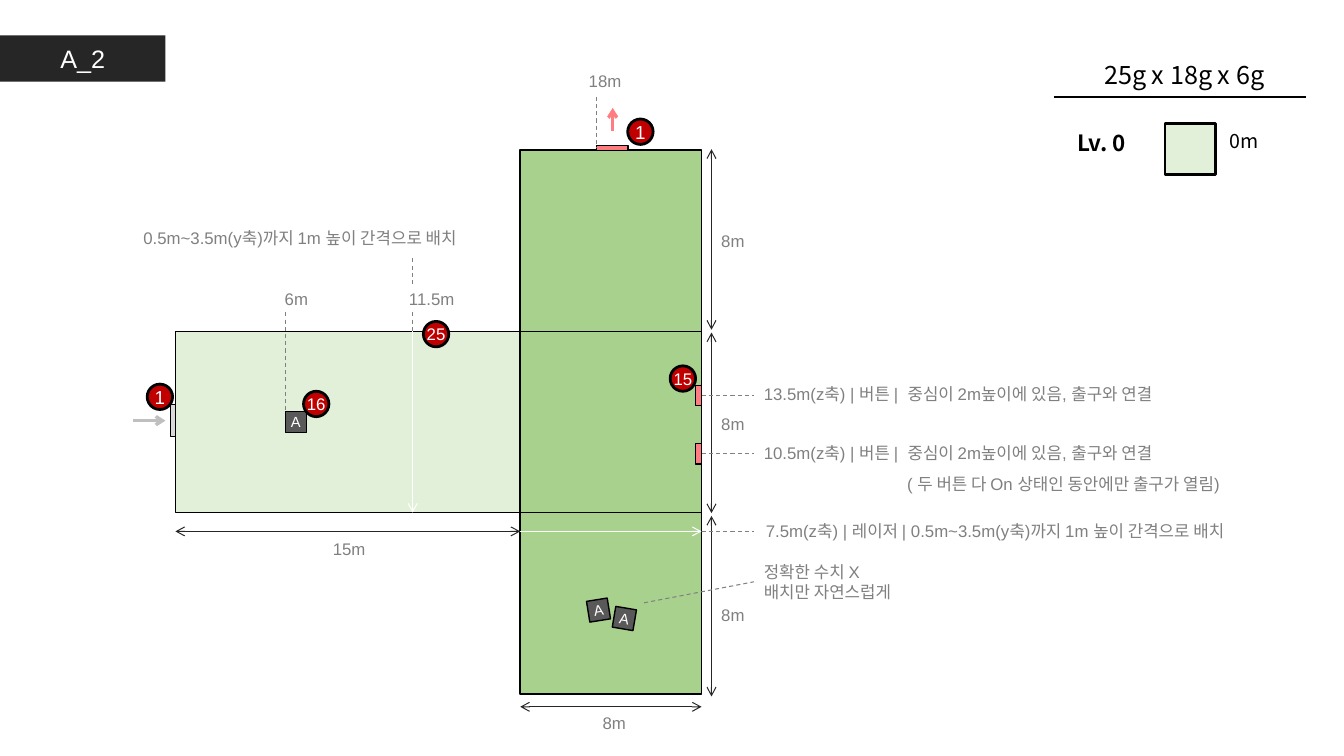
from dataclasses import dataclass

from lxml import etree
from pptx import Presentation
from pptx.dml.color import RGBColor
from pptx.enum.dml import MSO_LINE
from pptx.enum.shapes import MSO_CONNECTOR, MSO_SHAPE
from pptx.enum.text import MSO_ANCHOR, PP_ALIGN
from pptx.oxml.ns import qn
from pptx.util import Cm, Pt

RECT, OVAL = MSO_SHAPE.RECTANGLE, MSO_SHAPE.OVAL
STRAIGHT, DASH = MSO_CONNECTOR.STRAIGHT, MSO_LINE.DASH
LEFT, CENTER, RIGHT = PP_ALIGN.LEFT, PP_ALIGN.CENTER, PP_ALIGN.RIGHT
MIDDLE = MSO_ANCHOR.MIDDLE


@dataclass(frozen=True)
class Theme:
    """Colours, fonts and type sizes of the slide."""
    black: str = "000000"
    white: str = "FFFFFF"
    dark: str = "262626"
    grey: str = "808080"
    box: str = "595959"
    arrow: str = "BFBFBF"
    entrance: str = "D9D9D9"
    corridor: str = "E2F0D9"
    hall: str = "A9D18E"
    exit: str = "FF7C80"
    badge: str = "C00000"
    font: str = "Arial"
    korean: str = "Noto Sans CJK KR"
    title: float = 18
    level: float = 16
    height: float = 14
    door: float = 13.4
    note: float = 12
    mark: float = 10.5


T = Theme()
ROOM = 4.57                        # side of one 8m room
X_WEST, X_HALL, Y_HALL = 4.42, 13.11, 3.78
X_EAST = X_HALL + ROOM
Y_ROOMS = [Y_HALL + ROOM * i for i in range(3)]
Y_CORRIDOR, Y_SOUTH = Y_ROOMS[1:]
X_NOTE, Y_LASER, X_LASER = 19.0, 13.39, 10.4
LABEL_W = 2.4                      # roomy enough for the longest label


def rgb(code):
    """Turn a hex code into a colour."""
    return RGBColor.from_string(code)


def write(tf, lines, size, color, align=LEFT, font=T.font, bold=False):
    """Write one paragraph per line into a text frame."""
    for i, line in enumerate(lines.split("\n")):
        p = tf.paragraphs[0] if i == 0 else tf.add_paragraph()
        p.alignment = align
        r = p.add_run()
        r.text = line
        r.font.size, r.font.bold, r.font.name = Pt(size), bold, font
        r.font.color.rgb = rgb(color)
        ea = etree.SubElement(r._r.get_or_add_rPr(), qn("a:ea"))
        ea.set("typeface", T.korean)


def text(s, x, y, w, h, lines, size=T.note, color=T.grey, **style):
    """Add a wrapping text box."""
    tf = s.shapes.add_textbox(Cm(x), Cm(y), Cm(w), Cm(h)).text_frame
    tf.word_wrap = True
    write(tf, lines, size, color, **style)


def label(s, center, y, words):
    """Add a measurement centred on an x position."""
    text(s, center - LABEL_W / 2, y, LABEL_W, 0.76, words, align=CENTER)


def shape(s, kind, x, y, w, h, fill, line=T.black, width=1.0):
    """Add a flat preset shape, without outline if line is None."""
    sp = s.shapes.add_shape(kind, Cm(x), Cm(y), Cm(w), Cm(h))
    sp.shadow.inherit = False
    sp.fill.solid()
    sp.fill.fore_color.rgb = rgb(fill)
    if line is None:
        sp.line.fill.background()
    else:
        sp.line.color.rgb = rgb(line)
        sp.line.width = Pt(width)
    return sp


def caption(sp, words, size):
    """Centre white words in a shape."""
    tf = sp.text_frame
    tf.word_wrap = False
    tf.vertical_anchor = MIDDLE
    tf.margin_left = tf.margin_right = tf.margin_top = tf.margin_bottom = 0
    write(tf, words, size, T.white, CENTER)


def badge(s, x, y, number, size=T.note):
    """Add a numbered red circle."""
    caption(shape(s, OVAL, x, y, 0.64, 0.64, T.badge, width=2), number, size)


def crate(s, x, y, angle=0):
    """Add a dark square marked A, turned by an angle."""
    sp = shape(s, RECT, x, y, 0.53, 0.53, T.box)
    caption(sp, "A", T.mark)
    sp.rotation = angle


def line(s, x1, y1, x2, y2, color, width=0.75, dash=None, ends=()):
    """Add a straight line with optional open arrowheads."""
    c = s.shapes.add_connector(STRAIGHT, Cm(x1), Cm(y1), Cm(x2), Cm(y2))
    c.line.color.rgb = rgb(color)
    c.line.width = Pt(width)
    if dash:
        c.line.dash_style = dash
    for end in ends:
        etree.SubElement(c.line._ln, qn("a:" + end)).set("type", "arrow")
    etree.SubElement(c._element.spPr, qn("a:effectLst"))


def arrow(s, *ends, **style):
    """Add a one-way arrow."""
    line(s, *ends, ends=("tailEnd",), **style)


def dimension(s, *ends):
    """Add a two-way measuring arrow."""
    line(s, *ends, T.dark, ends=("headEnd", "tailEnd"))


def guide(s, *ends):
    """Add a dashed grey guide line."""
    line(s, *ends, T.grey, dash=DASH)


def header(s):
    """Draw the room title and the level legend."""
    title = shape(s, RECT, 0, 0.89, 4.17, 1.17, T.dark, None)
    caption(title, "A_2", T.title)
    text(s, 27.05, 1.37, 5.59, 1.02, "25g x 18g x 6g", T.title, T.black,
         align=CENTER, font=T.korean)
    line(s, 26.57, 2.44, 32.92, 2.44, T.black, 1)
    text(s, 26.9, 3.12, 2.72, 0.91, "Lv. 0", T.level, T.black,
         font=T.korean, bold=True)
    shape(s, RECT, 29.36, 3.12, 1.27, 1.27, T.corridor, width=2)
    text(s, 30.73, 3.12, 1.8, 0.84, "0m", T.height, T.black, font=T.korean)


def rooms(s):
    """Draw the corridor, the three hall rooms, the lasers and the doors."""
    shape(s, RECT, X_WEST, Y_CORRIDOR, X_HALL - X_WEST, ROOM, T.corridor)
    arrow(s, X_LASER, Y_CORRIDOR, X_LASER, Y_SOUTH, color=T.white)
    for y in Y_ROOMS:
        shape(s, RECT, X_HALL, y, ROOM, ROOM, T.hall)
    arrow(s, X_HALL, Y_LASER, X_EAST, Y_LASER, color=T.white)
    shape(s, RECT, 4.29, 10.2, 0.13, 0.79, T.entrance, width=0.75)
    arrow(s, 3.35, 10.6, 4.17, 10.6, color=T.arrow, width=2.25)
    shape(s, RECT, 15.04, 3.66, 0.79, 0.13, T.exit)
    arrow(s, 15.44, 3.3, 15.44, 2.72, color=T.exit, width=2.25)


def measurements(s):
    """Draw the dimension arrows, the guides and their labels."""
    for i, y in enumerate((5.69, 10.31, 15.11)):
        top = 3.76 + 4.62 * i
        dimension(s, 17.93, top, 17.93, top + 4.55)
        label(s, 18.47, y, "8m")
    dimension(s, X_WEST, Y_LASER, X_HALL, Y_LASER)
    dimension(s, X_HALL, 17.81, X_EAST, 17.81)
    guide(s, 15.04, 2.44, 15.04, 3.73)
    guide(s, 7.19, 7.87, 7.19, 10.46)
    guide(s, X_LASER, 7.87, X_LASER, Y_CORRIDOR)
    guide(s, X_LASER, 7.16, X_LASER, 6.45)
    for center, y, words in ((15.25, 1.65, "18m"), (7.47, 7.16, "6m"),
                             (10.88, 7.16, "11.5m"), (8.8, 13.46, "15m"),
                             (15.48, 17.83, "8m")):
        label(s, center, y, words)


def notes(s):
    """Draw the buttons and the remarks with their leader lines."""
    spacing = "0.5m~3.5m(y축)까지 1m 높이 간격으로 배치"
    for y, z in ((9.96, "13.5m"), (11.43, "10.5m")):
        shape(s, RECT, 17.53, y - 0.25, 0.15, 0.51, T.exit)
        guide(s, X_EAST, y, X_NOTE, y)
        text(s, X_NOTE, y - 0.41, 11.07, 0.76,
             f"{z}(z축) | 버튼 |  중심이 2m높이에 있음, 출구와 연결")
    text(s, 22.61, 11.81, 9.93, 0.76,
         "( 두 버튼 다 On 상태인 동안에만 출구가 열림)")
    guide(s, X_EAST, Y_LASER, X_NOTE, Y_LASER)
    text(s, 19.05, 13.0, 13.28, 0.76, f"7.5m(z축) | 레이저 | {spacing}")
    guide(s, 16.23, 15.19, X_NOTE, 14.66)
    text(s, X_NOTE, 14.02, 4.27, 1.27, "정확한 수치 X\n배치만 자연스럽게")
    text(s, -0.18, 5.61, 11.94, 0.76, spacing, align=RIGHT)


def main():
    """Build the level plan and save it."""
    prs = Presentation()
    prs.slide_width, prs.slide_height = Cm(33.87), Cm(19.05)
    s = prs.slides.add_slide(prs.slide_layouts[6])
    header(s)
    rooms(s)
    measurements(s)
    notes(s)
    for x, y, angle in ((7.19, 10.37, 0), (14.82, 15.11, -9.1), (15.47, 15.32, 9.6)):
        crate(s, x, y, angle)
    for x, y in ((3.71, 9.68), (15.82, 3.0)):
        badge(s, x, y, "1", T.door)
    for x, y, number in ((7.65, 9.86, "16"), (10.67, 8.1, "25"), (16.89, 9.22, "15")):
        badge(s, x, y, number)
    prs.save("out.pptx")


main()
